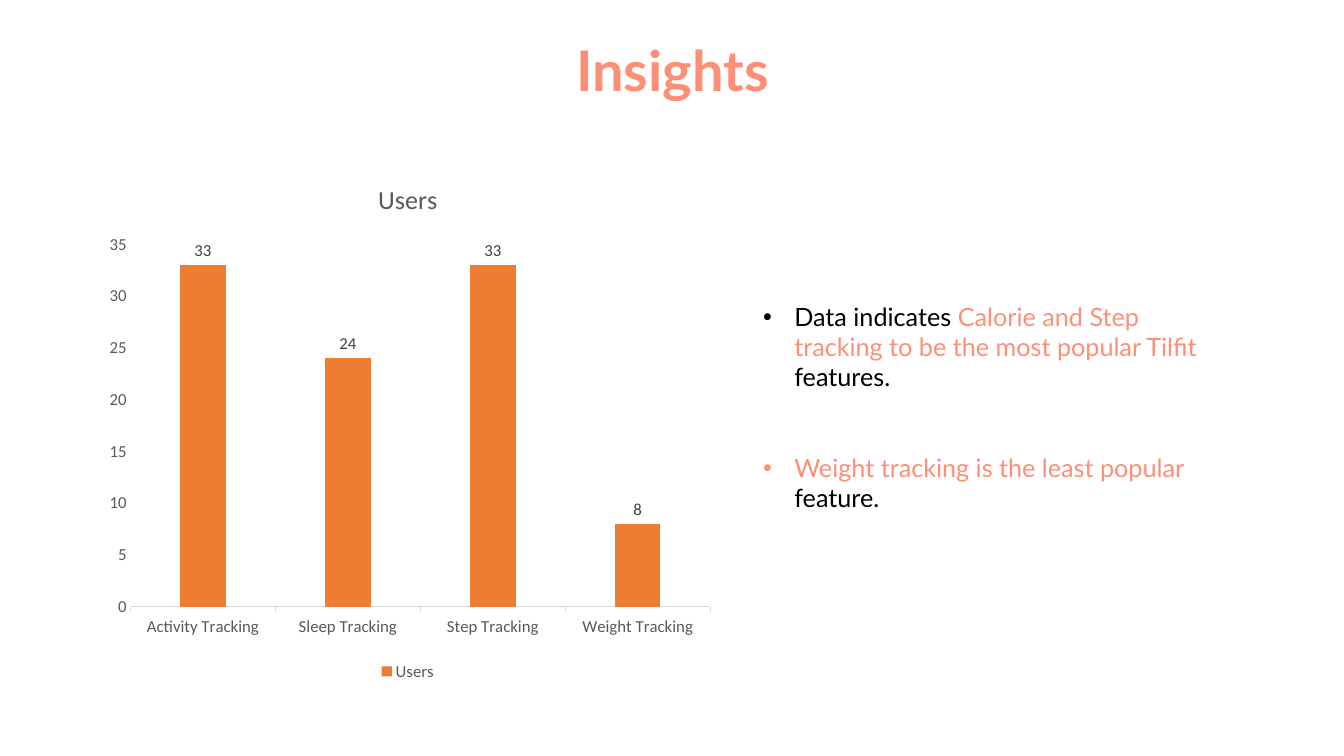
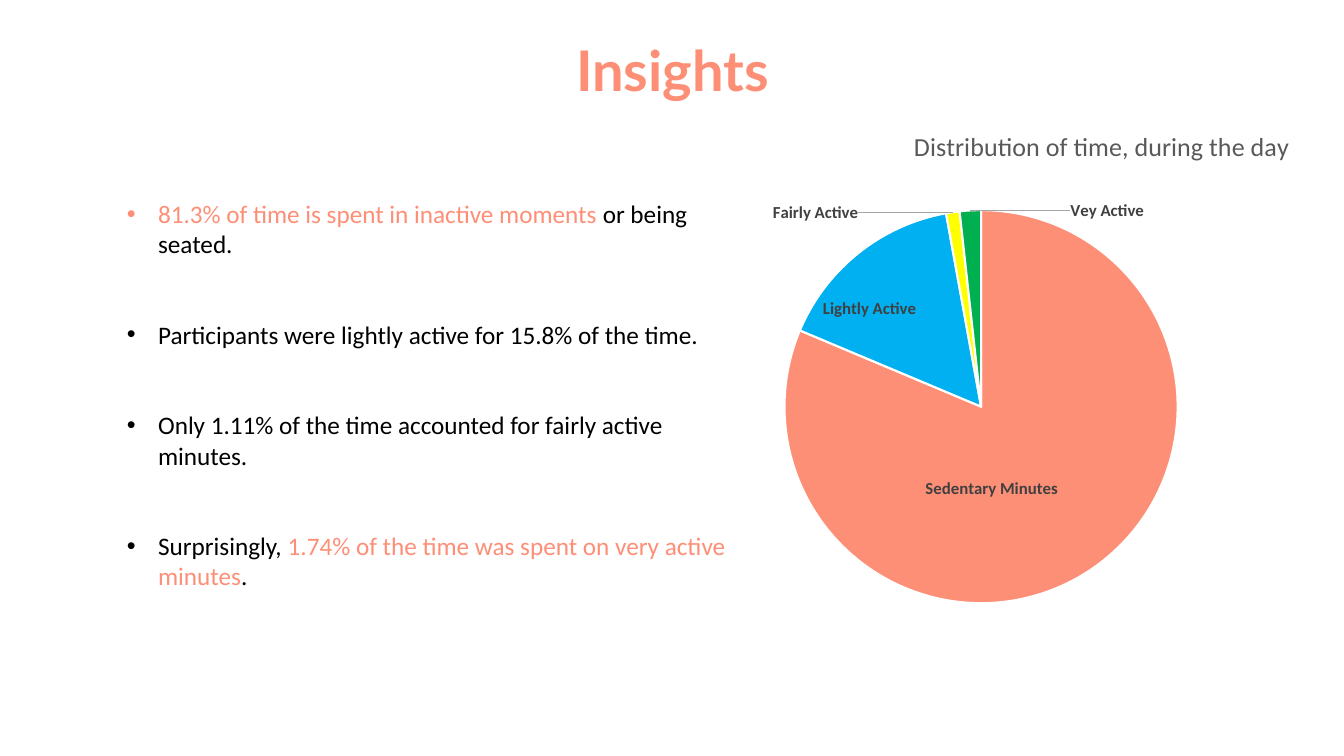
from dataclasses import dataclass

from lxml import etree
from pptx import Presentation
from pptx.chart.data import CategoryChartData
from pptx.dml.color import RGBColor
from pptx.enum.chart import (XL_CHART_TYPE, XL_LABEL_POSITION,
                             XL_LEGEND_POSITION, XL_TICK_MARK)
from pptx.enum.text import MSO_ANCHOR, PP_ALIGN
from pptx.oxml import parse_xml
from pptx.oxml.ns import nsdecls, qn
from pptx.util import Inches, Pt

COLUMN, PIE = XL_CHART_TYPE.COLUMN_CLUSTERED, XL_CHART_TYPE.PIE
OUT_END, CENTER = XL_LABEL_POSITION.OUTSIDE_END, XL_LABEL_POSITION.CENTER
BEST_FIT = XL_LABEL_POSITION.BEST_FIT
BOTTOM = XL_LEGEND_POSITION.BOTTOM
TICK_OUT, TICK_NONE = XL_TICK_MARK.OUTSIDE, XL_TICK_MARK.NONE
MIDDLE, ALIGN_CENTER = MSO_ANCHOR.MIDDLE, PP_ALIGN.CENTER


@dataclass(frozen=True)
class Theme:
    accent: str = "FE8F77"
    ink: str = "000000"
    white: str = "FFFFFF"
    axis_text: str = "595959"
    label_text: str = "404040"
    axis_line: str = "D9D9D9"
    leader_line: str = "A6A6A6"
    bar: str = "ED7D31"
    slices: tuple = ("FE8F77", "00B0F0", "FFFF00", "00B050")
    title_font: str = "Lato"
    chart_font: str = "Calibri"
    title_size: float = 40
    body_size: float = 18
    chart_title_size: float = 18.6
    chart_size: float = 12
    bullet_gap: float = 43
    indent: float = 0.31


T = Theme()


def rgb(value):
    return RGBColor.from_string(value)


def style_font(font, name, size, color, bold=False):
    font.name, font.size, font.bold = name, Pt(size), bold
    font.color.rgb = rgb(color)


def add_text_frame(slide, box):
    tf = slide.shapes.add_textbox(*map(Inches, box)).text_frame
    tf.word_wrap = True
    return tf


def add_title(slide, text, box=(0.92, 0, 11.5, 1.45)):
    tf = add_text_frame(slide, box)
    tf.text, tf.vertical_anchor = text, MIDDLE
    p = tf.paragraphs[0]
    p.alignment, p.line_spacing = ALIGN_CENTER, 0.9
    style_font(p.runs[0].font, T.title_font, T.title_size, T.accent, True)


def add_bullets(slide, box, bullets, font):
    """Each bullet is a list of (text, highlighted) runs."""
    tf = add_text_frame(slide, box)
    for i, parts in enumerate(bullets):
        p = tf.add_paragraph() if i else tf.paragraphs[0]
        p.space_before = Pt(T.bullet_gap if i else 0)
        pPr = p._p.get_or_add_pPr()
        pPr.set("marL", str(Inches(T.indent)))
        pPr.set("indent", str(-Inches(T.indent)))
        etree.SubElement(pPr, qn("a:buFont"), typeface="Arial")
        etree.SubElement(pPr, qn("a:buChar"), char="•")
        for text, highlighted in parts:
            r = p.add_run()
            r.text = text
            style_font(r.font, font, T.body_size,
                       T.accent if highlighted else T.ink)


def manual_layout(**values):
    layout = etree.Element(qn("c:layout"))
    manual = etree.SubElement(layout, qn("c:manualLayout"))
    for tag, value in values.items():
        etree.SubElement(manual, qn("c:" + tag), val=str(value))
    return layout


def drop_layout(parent):
    for old in parent.findall(qn("c:layout")):
        parent.remove(old)


def place_plot(chart, x, y, w, h):
    plot_area = chart._chartSpace.chart.plotArea
    drop_layout(plot_area)
    plot_area.insert(0, manual_layout(
        layoutTarget="inner", xMode="edge", yMode="edge",
        x=x, y=y, w=w, h=h))


def label_size(w, h):
    return parse_xml(
        f'<c:extLst {nsdecls("c")}>'
        '<c:ext uri="{CE6537A1-D6FC-4f65-9D91-7224C49458BB}" xmlns:c15='
        '"http://schemas.microsoft.com/office/drawing/2012/chart">'
        f'<c15:layout><c:manualLayout><c:w val="{w}"/><c:h val="{h}"/>'
        '</c:manualLayout></c15:layout></c:ext></c:extLst>')


def leader_lines(color):
    return parse_xml(
        f'<c:leaderLines {nsdecls("c", "a")}><c:spPr><a:ln w="9525">'
        f'<a:solidFill><a:srgbClr val="{color}"/></a:solidFill></a:ln>'
        '</c:spPr></c:leaderLines>')


def add_chart(slide, box, kind, title, series_name, values, number_format):
    data = CategoryChartData(number_format=number_format)
    data.categories = list(values)
    data.add_series(series_name, list(values.values()))
    chart = slide.shapes.add_chart(kind, *map(Inches, box), data).chart
    style_font(chart.font, T.chart_font, T.chart_size, T.axis_text)
    chart.has_title = True
    tf = chart.chart_title.text_frame
    tf.text = title
    style_font(tf.paragraphs[0].runs[0].font, T.chart_font,
               T.chart_title_size, T.axis_text)
    return chart


def add_column_chart(slide, box, name, values):
    chart = add_chart(slide, box, COLUMN, name, name, values, "General")
    place_plot(chart, 0.06, 0.16, 0.92, 0.69)
    chart.has_legend = True
    chart.legend.position = BOTTOM
    chart.legend.include_in_layout = False

    # Axes
    cat, val = chart.category_axis, chart.value_axis
    cat.major_tick_mark = TICK_OUT
    cat.format.line.color.rgb = rgb(T.axis_line)
    cat.format.line.width = Pt(0.75)
    val.major_tick_mark = TICK_NONE
    val.has_major_gridlines = False
    val.format.line.fill.background()
    for axis in (cat, val):
        style_font(axis.tick_labels.font, T.chart_font, T.chart_size,
                   T.axis_text)

    # Bars and their values
    plot = chart.plots[0]
    plot.gap_width, plot.overlap, plot.vary_by_categories = 219, -27, False
    s = plot.series[0]
    s.format.fill.solid()
    s.format.fill.fore_color.rgb = rgb(T.bar)
    labels = s.data_labels
    labels.show_value, labels.position = True, OUT_END
    style_font(labels.font, T.chart_font, T.chart_size, T.label_text)


def add_pie_chart(slide, box, title, values, label_places):
    """label_places: (position, x shift, y shift, size or None) per slice."""
    chart = add_chart(slide, box, PIE, title, "Series 1", values, "0.00%")
    chart.has_legend = False

    # Title at the right, pie below it
    title_el = chart.chart_title._element
    drop_layout(title_el)
    title_el.find(qn("c:tx")).addnext(
        manual_layout(xMode="edge", yMode="edge", x=0.36, y=0.02))
    place_plot(chart, 0.16, 0.18, 0.63, 0.74)

    # Slices
    plot = chart.plots[0]
    plot.vary_by_categories = True
    s = plot.series[0]
    for i, (color, place) in enumerate(zip(T.slices, label_places)):
        point = s.points[i]
        point.format.fill.solid()
        point.format.fill.fore_color.rgb = rgb(color)
        point.format.line.color.rgb = rgb(T.white)
        point.format.line.width = Pt(1.5)
        label = point.data_label
        style_font(label.font, T.chart_font, T.chart_size, T.label_text, True)
        label.position = place[0]

    # Slice names with leader lines
    labels = s.data_labels
    labels.show_category_name = labels.show_value = True
    labels.position = BEST_FIT
    labels.number_format, labels.number_format_is_linked = "0.00%", False
    style_font(labels.font, T.chart_font, T.chart_size, T.label_text, True)
    dLbls = labels._element
    for el, (_, dx, dy, size) in zip(dLbls.findall(qn("c:dLbl")),
                                     label_places):
        drop_layout(el)
        el.find(qn("c:idx")).addnext(manual_layout(x=dx, y=dy))
        el.find(qn("c:showVal")).set("val", "0")
        el.find(qn("c:showCatName")).set("val", "1")
        if size:
            el.append(label_size(*size))
    show = dLbls.find(qn("c:showLeaderLines"))
    if show is None:
        show = etree.SubElement(dLbls, qn("c:showLeaderLines"))
    show.set("val", "1")
    show.addnext(leader_lines(T.leader_line))


def feature_slide(slide):
    add_title(slide, "Insights")
    add_column_chart(slide, (0.92, 1.59, 6.25, 5.21), "Users", {
        "Activity Tracking": 33, "Sleep Tracking": 24,
        "Step Tracking": 33, "Weight Tracking": 8})
    add_bullets(slide, (7.47, 2.94, 4.77, 2.2), [
        [("Data indicates ", False),
         ("Calorie and Step tracking to be the most popular Tilfit ", True),
         ("features.", False)],
        [("Weight tracking is the least popular ", True),
         ("feature.", False)],
    ], T.title_font)


def activity_slide(slide):
    add_title(slide, "Insights")
    add_bullets(slide, (1.16, 1.92, 6.19, 4.04), [
        [("81.3% of time is spent in inactive moments ", True),
         ("or being seated.", False)],
        [("Participants were lightly active for 15.8% of the time.", False)],
        [("Only 1.11% of the time accounted for fairly active minutes.",
          False)],
        [("Surprisingly, ", False),
         ("1.74% of the time was spent on very active minutes", True),
         (".", False)],
    ], T.chart_font)
    add_pie_chart(
        slide, (6.79, 1.12, 6.19, 5.3),
        "Distribution of time, during the day",
        {"Sedentary Minutes": 0.813, "Lightly Active": 0.158,
         "Fairly Active": 0.0111, "Vey Active": 0.0174},
        [(CENTER, -0.07, 0, (0.15, 0.1)), (CENTER, -0.08, -0.04, None),
         (OUT_END, -0.15, 0.03, None), (OUT_END, 0.22, 0.03, None)])


def main():
    prs = Presentation()
    prs.slide_width, prs.slide_height = Inches(13.33), Inches(7.5)
    for build in (feature_slide, activity_slide):
        build(prs.slides.add_slide(prs.slide_layouts[6]))
    prs.save("out.pptx")


if __name__ == "__main__":
    main()
